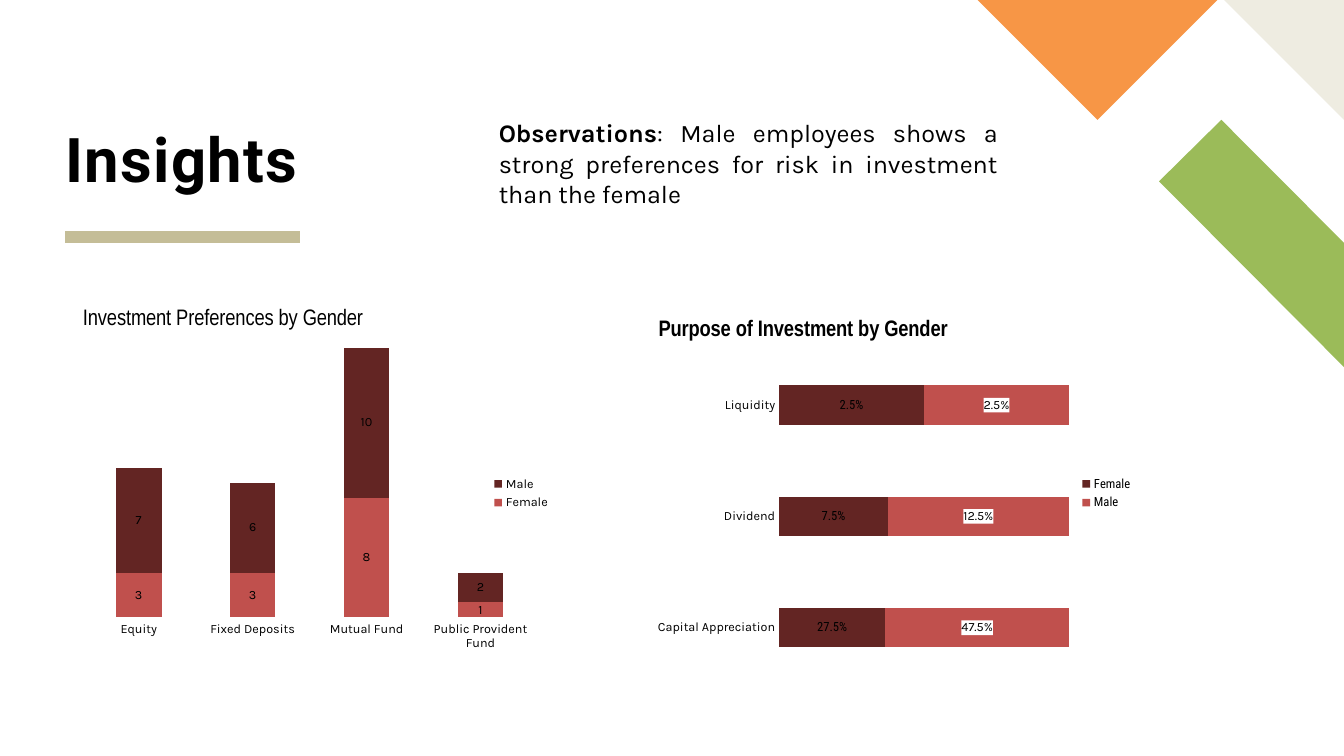
from lxml import etree
from pptx import Presentation
from pptx.chart.data import CategoryChartData
from pptx.dml.color import RGBColor
from pptx.enum.chart import XL_CHART_TYPE, XL_LABEL_POSITION, XL_LEGEND_POSITION, XL_TICK_MARK
from pptx.enum.text import MSO_ANCHOR, PP_ALIGN
from pptx.oxml import parse_xml
from pptx.oxml.ns import nsdecls, qn
from pptx.util import Cm, Pt

BLACK = RGBColor(0x00, 0x00, 0x00)
WHITE = RGBColor(0xFF, 0xFF, 0xFF)
GREEN = RGBColor(0x9B, 0xBB, 0x59)
CREAM = RGBColor(0xEE, 0xEC, 0xE1)
ORANGE = RGBColor(0xF7, 0x96, 0x46)
KHAKI = RGBColor(0xC4, 0xBD, 0x97)
RED = RGBColor(0xC0, 0x50, 0x4D)
MAROON = RGBColor(0x63, 0x25, 0x23)

SLIDE_WIDTH, SLIDE_HEIGHT = 33.87, 19.05
CHART_TOP, CHART_WIDTH, CHART_HEIGHT = 7.44, 12.47, 9.98


def set_font(font, name, size, bold=False):
    font.name = name
    font.size = Pt(size)
    font.bold = bold
    font.color.rgb = BLACK


def add_run(paragraph, text, name, size, bold=False):
    run = paragraph.add_run()
    run.text = text
    set_font(run.font, name, size, bold)
    return run


def add_text_frame(slide, left, top, width, height):
    shape = slide.shapes.add_textbox(Cm(left), Cm(top), Cm(width), Cm(height))
    shape.text_frame.word_wrap = True
    return shape.text_frame


def add_polygon(slide, left, top, points, color):
    """Draw a filled outline whose points are centimetres from left and top."""
    corners = [(Cm(left + x), Cm(top + y)) for x, y in points]
    builder = slide.shapes.build_freeform(*corners[0])
    builder.add_line_segments(corners[1:], close=True)
    shape = builder.convert_to_shape()
    shape.shadow.inherit = False
    shape.fill.solid()
    shape.fill.fore_color.rgb = color
    shape.line.fill.background()


def add_corner_decoration(slide, right):
    step = 3.02
    add_polygon(slide, right - 4.66, step,
                [(4.66, 6.23), (4.66, 3.1), (1.57, 0), (0, 1.55)], GREEN)
    add_polygon(slide, right - step, 0, [(0, 0), (step, 0), (step, step)], CREAM)
    add_polygon(slide, right - 9.23, 0, [(0, 0), (2 * step, 0), (step, step)], ORANGE)


def add_heading(slide, left, top, width, height):
    frame = add_text_frame(slide, left, top, width, height)
    frame.margin_left = frame.margin_right = frame.margin_top = frame.margin_bottom = 0
    frame.vertical_anchor = MSO_ANCHOR.BOTTOM
    paragraph = frame.paragraphs[0]
    paragraph.line_spacing = 0.8
    run = add_run(paragraph, "Insights", "Roboto", 44, True)
    run.font._element.set("spc", "100")

    rule_top = Cm(top + height + 1.07)
    rule = slide.shapes.add_connector(1, Cm(left), rule_top, Cm(left + 5.92), rule_top)
    rule.line.color.rgb = KHAKI
    rule.line.width = Pt(8)
    etree.SubElement(rule._element.spPr, qn("a:effectLst"))


def add_observation(slide, left, top, width, height):
    paragraph = add_text_frame(slide, left, top, width, height).paragraphs[0]
    paragraph.alignment = PP_ALIGN.JUSTIFY
    add_run(paragraph, "Observations", "Karla", 18, True)
    add_run(paragraph, ": Male employees shows a strong preferences for risk in "
            "investment than the female", "Karla", 18)


def manual_layout(x, y, width=None, height=None):
    settings = [("xMode", "edge"), ("yMode", "edge"), ("x", x), ("y", y)]
    if width is not None:
        settings.insert(0, ("layoutTarget", "inner"))
        settings += [("w", width), ("h", height)]
    body = "".join(f'<c:{tag} val="{value}"/>' for tag, value in settings)
    return parse_xml(f'<c:layout {nsdecls("c")}><c:manualLayout>{body}'
                     '</c:manualLayout></c:layout>')


def replace_layout(parent, layout, position):
    for old_layout in parent.findall(qn("c:layout")):
        parent.remove(old_layout)
    parent.insert(position, layout)


def add_chart_title(chart, text, bold, x, y):
    chart.has_title = True
    title = chart.chart_title
    add_run(title.text_frame.paragraphs[0], text, "Arial Narrow", 16, bold)
    title.include_in_layout = False
    replace_layout(title._element, manual_layout(x, y), 1)


def style_axes(chart, maximum):
    category_axis = chart.category_axis
    category_axis.major_tick_mark = XL_TICK_MARK.NONE
    category_axis.has_major_gridlines = False
    category_axis.format.line.color.rgb = WHITE
    category_axis.format.line.width = Pt(0.75)
    set_font(category_axis.tick_labels.font, "Karla", 9)
    value_axis = chart.value_axis
    value_axis.has_major_gridlines = False
    value_axis.minimum_scale = 0
    value_axis.maximum_scale = maximum
    value_axis.visible = False


def style_series(series, color, label_font, number_format):
    series.format.fill.solid()
    series.format.fill.fore_color.rgb = color
    labels = series.data_labels
    labels.show_value = True
    labels.number_format = number_format
    labels.number_format_is_linked = False
    labels.position = XL_LABEL_POSITION.CENTER
    set_font(labels.font, label_font, 9)
    return labels


def add_label_background(labels):
    background = parse_xml(
        f'<c:spPr {nsdecls("c", "a")}><a:solidFill><a:srgbClr val="FFFFFF">'
        '<a:alpha val="40000"/></a:srgbClr></a:solidFill></c:spPr>')
    labels._element.find(qn("c:txPr")).addprevious(background)


def add_gender_chart(slide, left, chart_type, categories, series, number_format,
                     maximum, gap, legend_font, plot):
    """Series are (name, values, color, label font) tuples."""
    data = CategoryChartData(number_format=number_format)
    data.categories = categories
    for name, values, _, _ in series:
        data.add_series(name, values)
    chart = slide.shapes.add_chart(chart_type, Cm(left), Cm(CHART_TOP), Cm(CHART_WIDTH),
                                   Cm(CHART_HEIGHT), data).chart
    set_font(chart.font, "Karla", 10)
    style_axes(chart, maximum)
    chart.has_legend = True
    chart.legend.position = XL_LEGEND_POSITION.RIGHT
    chart.legend.include_in_layout = False
    set_font(chart.legend.font, legend_font, 9)
    bars = chart.plots[0]
    bars.gap_width = gap
    bars.overlap = 100
    bars.vary_by_categories = False
    for drawn, (_, _, color, label_font) in zip(bars.series, series):
        style_series(drawn, color, label_font, number_format)
    replace_layout(chart._chartSpace.chart.plotArea, manual_layout(*plot), 0)
    return chart


def add_preferences_chart(slide, left):
    chart = add_gender_chart(
        slide, left, XL_CHART_TYPE.COLUMN_STACKED,
        ["Equity", "Fixed Deposits", "Mutual Fund", "Public Provident Fund"],
        [("Female", (3, 3, 8, 1), RED, "Karla"), ("Male", (7, 6, 10, 2), MAROON, "Karla")],
        "General", 20, 150, "Karla", (0.033, 0.057, 0.921, 0.757))
    add_chart_title(chart, "Investment Preferences by Gender", False, 0.027, 0.02)


def add_purpose_chart(slide, left):
    chart = add_gender_chart(
        slide, left, XL_CHART_TYPE.BAR_STACKED_100,
        ["Capital Appreciation", "Dividend", "Liquidity"],
        [("Female", (0.275, 0.075, 0.025), MAROON, "Roboto Condensed"),
         ("Male", (0.475, 0.125, 0.025), RED, "Karla")],
        "0.0%", 1, 182, "Roboto Condensed", (0.265, 0.137, 0.586, 0.843))
    add_chart_title(chart, "Purpose of Investment by Gender", True, 0.013, 0.047)
    add_label_background(chart.plots[0].series[1].data_labels)


def main():
    presentation = Presentation()
    presentation.slide_width = Cm(SLIDE_WIDTH)
    presentation.slide_height = Cm(SLIDE_HEIGHT)
    slide = presentation.slides.add_slide(presentation.slide_layouts[6])
    add_corner_decoration(slide, SLIDE_WIDTH)
    add_heading(slide, 1.65, 0.76, 27.15, 4.14)
    add_observation(slide, 12.32, 2.84, 13.08, 2.57)
    add_preferences_chart(slide, 1.65)
    add_purpose_chart(slide, 16.33)
    presentation.save("out.pptx")


if __name__ == "__main__":
    main()
